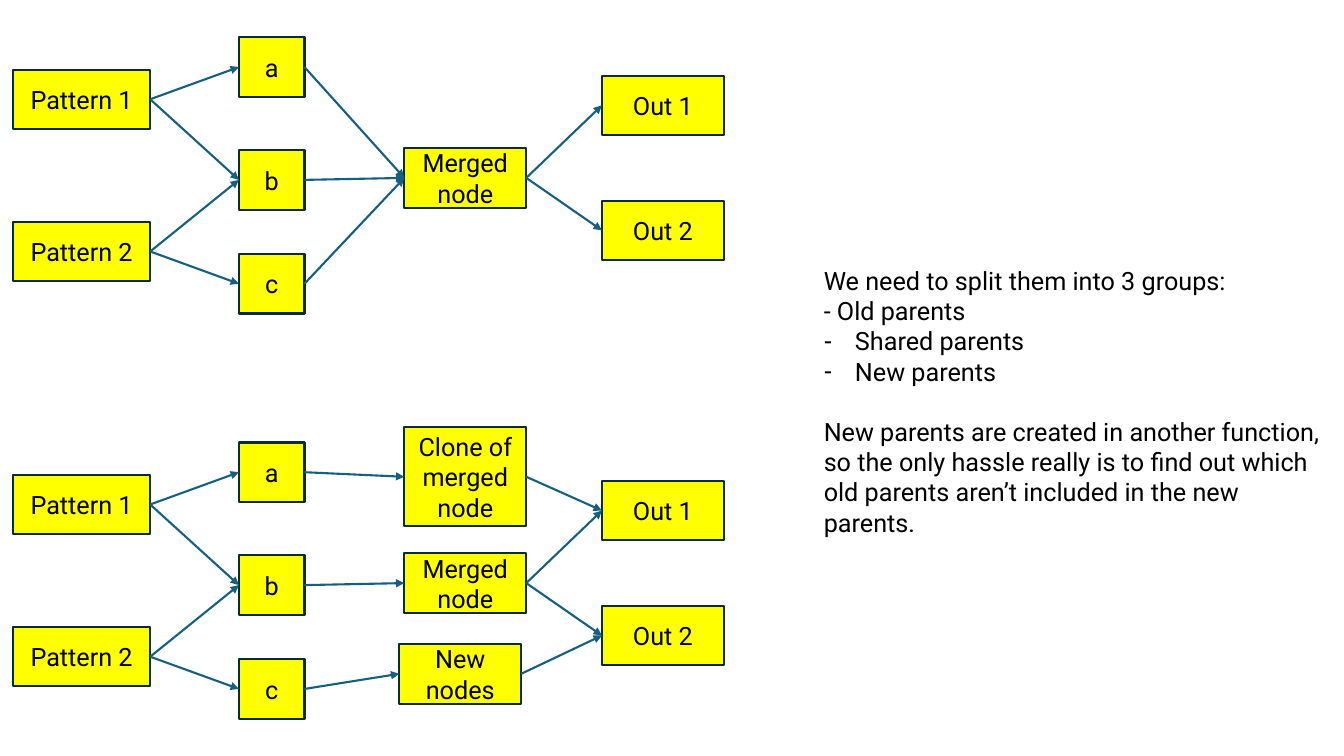
"""Build a slide showing how a merged graph node is split into groups of parents."""
from lxml.etree import SubElement
from pptx import Presentation
from pptx.dml.color import RGBColor
from pptx.enum.shapes import MSO_CONNECTOR, MSO_SHAPE
from pptx.enum.text import MSO_ANCHOR, MSO_AUTO_SIZE, PP_ALIGN
from pptx.oxml.ns import qn
from pptx.util import Emu, Pt

PX = 9144
COLORS = {"node": "FFFF00", "border": "092A39", "arrow": "156082", "text": "000000"}
FONT = "Roboto"
LEFT, RIGHT = 1, 3
NODE_HEIGHT = 59
LOWER_OFFSET = 402

SHARED_NODES = {
    "Pattern 1": (13, 69, 136),
    "Pattern 2": (13, 220, 136),
    "a": (237, 37, 65),
    "b": (237, 149, 65),
    "c": (237, 252, 65),
    "Merged node": (401, 147, 121),
    "Out 1": (597, 75, 121),
    "Out 2": (597, 199, 121),
}
SHARED_EDGES = [
    ("Pattern 1", "a"), ("Pattern 1", "b"),
    ("Pattern 2", "b"), ("Pattern 2", "c"),
    ("b", "Merged node"),
    ("Merged node", "Out 1"), ("Merged node", "Out 2"),
]
MERGED_EDGES = [("a", "Merged node"), ("c", "Merged node")]
SPLIT_EDGES = [
    ("a", "Clone of merged node"), ("c", "New nodes"),
    ("Clone of merged node", "Out 1"), ("New nodes", "Out 2"),
]
NOTES = [
    ("We need to split them into 3 groups:", False, 0),
    ("- Old parents", False, 0),
    ("Shared parents", True, 0),
    ("New parents", True, 0),
    ("New parents are created in another function,", False, 21.6),
    ("so the only hassle really is to find out which", False, 0),
    ("old parents aren’t included in the new parents.", False, 0),
]


def px(length):
    return Emu(length * PX)


def color(name):
    return RGBColor.from_string(COLORS[name])


def style_font(paragraph):
    font = paragraph.font
    font.name = FONT
    font.size = Pt(18)
    font.color.rgb = color("text")


def add_node(slide, label, left, top, width, height=NODE_HEIGHT):
    shape = slide.shapes.add_shape(
        MSO_SHAPE.RECTANGLE, px(left), px(top), px(width), px(height))
    shape.shadow.inherit = False
    shape.fill.solid()
    shape.fill.fore_color.rgb = color("node")
    shape.line.color.rgb = color("border")
    shape.line.width = Pt(1.5)
    shape.text_frame.vertical_anchor = MSO_ANCHOR.MIDDLE
    paragraph = shape.text_frame.paragraphs[0]
    paragraph.text = label
    paragraph.alignment = PP_ALIGN.CENTER
    style_font(paragraph)
    return shape


def add_arrow(slide, source, target):
    connector = slide.shapes.add_connector(MSO_CONNECTOR.STRAIGHT, 0, 0, 0, 0)
    connector.begin_connect(source, RIGHT)
    connector.end_connect(target, LEFT)
    connector.line.color.rgb = color("arrow")
    connector.line.width = Pt(1.5)
    SubElement(connector.line._get_or_add_ln(), qn("a:tailEnd"), type="triangle")
    SubElement(connector._element.spPr, qn("a:effectLst"))


def add_graph(slide, offset, extra_nodes, extra_edges):
    nodes = {
        label: add_node(slide, label, left, top + offset, width)
        for label, (left, top, width) in SHARED_NODES.items()
    }
    for label, box in extra_nodes.items():
        nodes[label] = add_node(slide, label, *box)
    for source, target in SHARED_EDGES + extra_edges:
        add_arrow(slide, nodes[source], nodes[target])


def set_bullet(paragraph, bulleted):
    properties = paragraph._p.get_or_add_pPr()
    indent = px(31) if bulleted else 0
    properties.set("marL", str(indent))
    properties.set("indent", str(-indent))
    if bulleted:
        SubElement(properties, qn("a:buFontTx"))
        SubElement(properties, qn("a:buChar"), char="-")
    else:
        SubElement(properties, qn("a:buNone"))


def fill_notes(body):
    body.left, body.top, body.width, body.height = px(807), px(258), px(523), px(252)
    frame = body.text_frame
    frame.word_wrap = True
    frame.auto_size = MSO_AUTO_SIZE.NONE
    frame.vertical_anchor = MSO_ANCHOR.TOP
    for index, (text, bulleted, space_before) in enumerate(NOTES):
        paragraph = frame.add_paragraph() if index else frame.paragraphs[0]
        paragraph.text = text
        set_bullet(paragraph, bulleted)
        paragraph.space_before = Pt(space_before)
        style_font(paragraph)


def main():
    presentation = Presentation()
    presentation.slide_width, presentation.slide_height = px(1333), px(750)
    slide = presentation.slides.add_slide(presentation.slide_layouts[1])
    title = slide.shapes.title._element
    title.getparent().remove(title)
    fill_notes(slide.placeholders[1])
    add_graph(slide, 0, {}, MERGED_EDGES)
    split_nodes = {
        "Clone of merged node": (401, 424, 121, 98),
        "New nodes": (396, 639, 121),
    }
    add_graph(slide, LOWER_OFFSET, split_nodes, SPLIT_EDGES)
    presentation.save("out.pptx")


if __name__ == "__main__":
    main()
